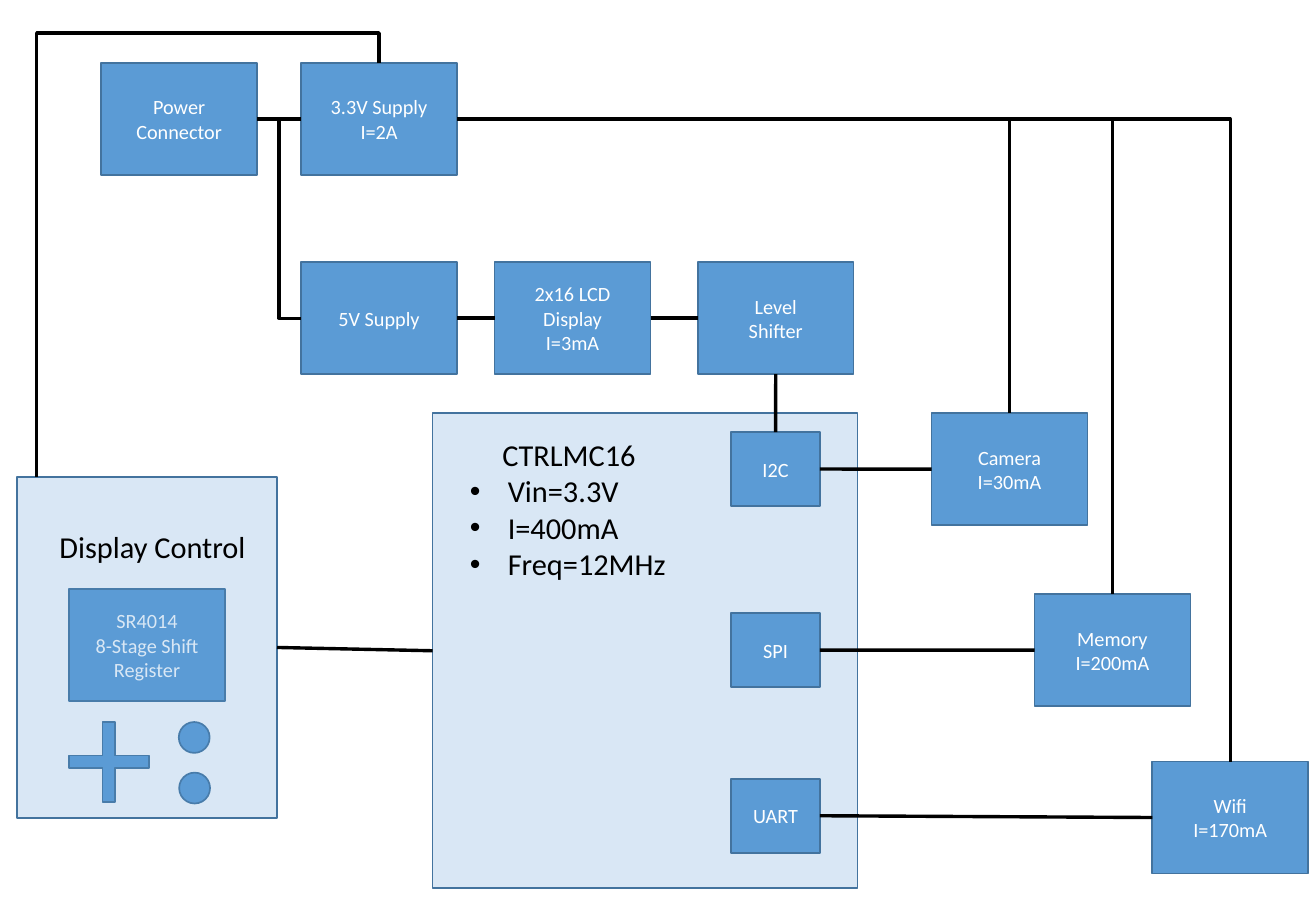
from dataclasses import dataclass

from lxml import etree
from pptx import Presentation
from pptx.dml.color import RGBColor
from pptx.enum import shapes, text
from pptx.oxml import ns
from pptx.util import Pt


@dataclass(frozen=True)
class Theme:
    fill: RGBColor = RGBColor(0x5B, 0x9B, 0xD5)
    outline: RGBColor = RGBColor(0x43, 0x73, 0x9E)
    light: RGBColor = RGBColor(255, 255, 255)
    dark: RGBColor = RGBColor(0, 0, 0)
    font: str = "Calibri"
    label_size: float = 12
    heading_size: float = 18
    outline_width: float = 1
    wire_width: float = 2
    panel_alpha: int = 23000


THEME = Theme()
KIND = shapes.MSO_SHAPE
TOP, LEFT, BOTTOM, RIGHT = range(4)
BLOCK_SIZE = (92.4, 66.4)
PORT_SIZE = (52.6, 43.9)
BULLET_INDENT = 22.5


def add_child(parent, tag, **attributes):
    child = etree.SubElement(parent, ns.qn(tag))
    for name, value in attributes.items():
        child.set(name, str(value))
    return child


def add_figure(page, kind, left, top, width, height):
    figure = page.shapes.add_shape(kind, Pt(left), Pt(top), Pt(width), Pt(height))
    figure.shadow.inherit = False
    figure.fill.solid()
    figure.fill.fore_color.rgb = THEME.fill
    figure.line.color.rgb = THEME.outline
    figure.line.width = Pt(THEME.outline_width)
    return figure


def add_panel(page, left, top, width, height):
    panel = add_figure(page, KIND.RECTANGLE, left, top, width, height)
    color = panel._element.spPr.find(ns.qn("a:solidFill"))[0]
    add_child(color, "a:alpha", val=THEME.panel_alpha)
    return panel


def write_lines(frame, lines, size, color):
    for index, line in enumerate(lines):
        para = frame.paragraphs[0] if index == 0 else frame.add_paragraph()
        para.alignment = text.PP_ALIGN.CENTER
        span = para.add_run()
        span.text = line
        span.font.name = THEME.font
        span.font.size = Pt(size)
        span.font.color.rgb = color


def add_block(page, left, top, lines, size=BLOCK_SIZE):
    block = add_figure(page, KIND.RECTANGLE, left, top, *size)
    block.text_frame.vertical_anchor = text.MSO_ANCHOR.MIDDLE
    write_lines(block.text_frame, lines, THEME.label_size, THEME.light)
    return block


def add_heading(page, left, top, width, height, heading, bullets=()):
    box = page.shapes.add_textbox(Pt(left), Pt(top), Pt(width), Pt(height))
    frame = box.text_frame
    frame.word_wrap = False
    frame.auto_size = text.MSO_AUTO_SIZE.SHAPE_TO_FIT_TEXT
    write_lines(frame, [heading, *bullets], THEME.heading_size, THEME.dark)
    for para in frame.paragraphs[1:]:
        para.alignment = text.PP_ALIGN.LEFT
        properties = para._p.get_or_add_pPr()
        properties.set("marL", str(Pt(BULLET_INDENT)))
        properties.set("indent", str(-Pt(BULLET_INDENT)))
        add_child(properties, "a:buFont", typeface="Arial")
        add_child(properties, "a:buChar", char="•")


def add_wire(page, start, start_side, end, end_side, preset="line"):
    kinds = shapes.MSO_CONNECTOR
    kind = kinds.STRAIGHT if preset == "line" else kinds.ELBOW
    wire = page.shapes.add_connector(kind, 0, 0, 0, 0)
    wire.begin_connect(start, start_side)
    wire.end_connect(end, end_side)
    wire._element.spPr.find(ns.qn("a:prstGeom")).set("prst", preset)
    style_wire(wire)


def style_wire(wire):
    wire.line.color.rgb = THEME.dark
    wire.line.width = Pt(THEME.wire_width)
    add_child(wire._element.spPr, "a:effectLst")


def add_overhead_wire(page, start, end, end_inset, rise):
    start_x, start_y = start.left + start.width // 2, start.top
    end_x, end_y = end.left + Pt(end_inset), end.top
    across, down = start_x - end_x, end_y - start_y
    left = (start_x + end_x - down) // 2
    top = (start_y + end_y - across) // 2
    wire = page.shapes.add_connector(
        shapes.MSO_CONNECTOR.ELBOW, left, top, left + down, top + across
    )
    frame = wire._element.spPr.find(ns.qn("a:xfrm"))
    for name, value in (("rot", "16200000"), ("flipH", "1"), ("flipV", "1")):
        frame.set(name, value)
    guides = wire._element.spPr.find(ns.qn("a:prstGeom")).find(ns.qn("a:avLst"))
    bend = round(-100000 * Pt(rise) / down)
    add_child(guides, "a:gd", name="adj1", fmla=f"val {bend}")
    style_wire(wire)


def add_display_control(page):
    add_figure(page, KIND.CROSS, 41, 428, 47.2, 47.2).adjustments[0] = 0.42
    for left, top in ((106, 428), (106.2, 458)):
        add_figure(page, KIND.OVAL, left, top, 18.3, 18.3)
    add_block(page, 41, 349.2, ["SR4014", "8-Stage Shift", "Register"])
    panel = add_panel(page, 10, 282.8, 154.2, 202)
    add_heading(page, 27.4, 309.6, 126, 29, "Display Control")
    return panel


def main():
    deck = Presentation()
    deck.slide_width, deck.slide_height = Pt(780), Pt(540)
    page = deck.slides.add_slide(deck.slide_layouts[6])

    controller = add_panel(page, 256.4, 245, 251.8, 281.5)
    add_heading(
        page, 271.4, 254.9, 131.8, 116.6, "CTRLMC16",
        ["Vin=3.3V", "I=400mA", "Freq=12MHz"],
    )
    power = add_block(page, 60, 37.4, ["Power", "Connector"])
    supply_3v = add_block(page, 178.5, 37.4, ["3.3V Supply", "I=2A"])
    supply_5v = add_block(page, 178.5, 155.4, ["5V Supply"])
    lcd = add_block(page, 293.2, 155.4, ["2x16 LCD", "Display", "I=3mA"])
    shifter = add_block(page, 413.6, 155.4, ["Level", "Shifter"])
    display = add_display_control(page)

    for start, end in (
        (power, supply_3v), (supply_5v, lcd), (lcd, shifter), (display, controller)
    ):
        add_wire(page, start, RIGHT, end, LEFT)
    add_wire(page, power, RIGHT, supply_5v, LEFT, "bentConnector3")
    add_overhead_wire(page, supply_3v, display, 11.8, 18)

    ports = {}
    for port_name, port_top, device_name, current, left, top in (
        ("I2C", 256.1, "Camera", "I=30mA", 552.2, 244.9),
        ("SPI", 363.4, "Memory", "I=200mA", 613.2, 352.2),
        ("UART", 461.6, "Wifi", "I=170mA", 683, 451.4),
    ):
        port = add_block(page, 433.4, port_top, [port_name], PORT_SIZE)
        device = add_block(page, left, top, [device_name, current])
        add_wire(page, port, RIGHT, device, LEFT)
        add_wire(page, supply_3v, RIGHT, device, TOP, "bentConnector2")
        ports[port_name] = port
    add_wire(page, shifter, BOTTOM, ports["I2C"], TOP)

    deck.save("out.pptx")


main()
